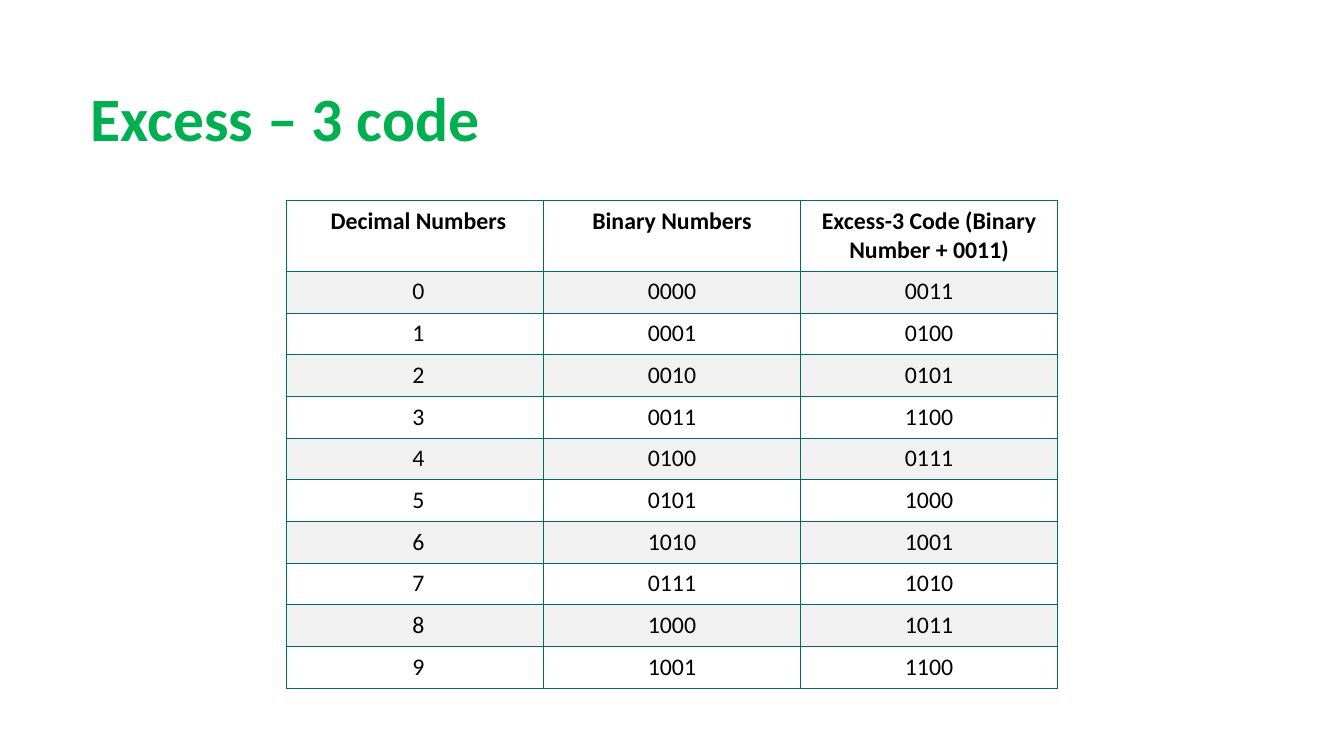
from lxml import etree
from pptx import Presentation
from pptx.dml.color import RGBColor
from pptx.enum.text import MSO_ANCHOR as Anchor, PP_ALIGN as Align
from pptx.oxml.ns import qn
from pptx.util import Inches, Pt

COLORS = {
    "title": "00B050",
    "text": "000000",
    "border": "006969",
    "plain": "FFFFFF",
    "band": "F1F1F1",
}
FONT = "Calibri"

HEADINGS = ("Decimal Numbers", "Binary Numbers", "Excess-3 Code (Binary Number + 0011)")
CODES = [
    ("0", "0000", "0011"),
    ("1", "0001", "0100"),
    ("2", "0010", "0101"),
    ("3", "0011", "1100"),
    ("4", "0100", "0111"),
    ("5", "0101", "1000"),
    ("6", "1010", "1001"),
    ("7", "0111", "1010"),
    ("8", "1000", "1011"),
    ("9", "1001", "1100"),
]

# Table measures in inches
TABLE_LEFT, TABLE_TOP = 2.84, 1.99
TABLE_WIDTH, TABLE_HEIGHT = 7.65, 4.84
HEADER_HEIGHT = 0.7


def style_font(para, size, color, bold):
    font = para.font
    font.name, font.size, font.bold = FONT, Pt(size), bold
    font.color.rgb = RGBColor.from_string(COLORS[color])


def add_title(page, text):
    box = page.shapes.add_textbox(Inches(0.8), Inches(0.48), Inches(11.73), Inches(1.45))
    frame = box.text_frame
    frame.word_wrap = True
    frame.vertical_anchor = Anchor.MIDDLE
    para = frame.paragraphs[0]
    para.text = text
    para.line_spacing = 0.9
    style_font(para, 44, "title", True)


def set_borders(cell):
    properties = cell._tc.get_or_add_tcPr()
    for position, side in enumerate(("lnL", "lnR", "lnT", "lnB")):
        line = etree.Element(qn(f"a:{side}"), w=str(Pt(0.6)))
        fill = etree.SubElement(line, qn("a:solidFill"))
        etree.SubElement(fill, qn("a:srgbClr"), val=COLORS["border"])
        properties.insert(position, line)


def fill_cell(cell, text, fill, bold, left_margin):
    cell.fill.solid()
    cell.fill.fore_color.rgb = RGBColor.from_string(COLORS[fill])
    cell.margin_left = Inches(left_margin)
    cell.margin_right = cell.margin_top = cell.margin_bottom = Inches(0.06)
    para = cell.text_frame.paragraphs[0]
    para.text = text
    para.alignment = Align.CENTER
    style_font(para, 17, "text", bold)
    set_borders(cell)


def add_code_table(page, headings, codes):
    rows = [headings, *codes]
    table = page.shapes.add_table(
        len(rows), len(headings),
        Inches(TABLE_LEFT), Inches(TABLE_TOP), Inches(TABLE_WIDTH), Inches(TABLE_HEIGHT),
    ).table
    code_height = (TABLE_HEIGHT - HEADER_HEIGHT) / len(codes)
    for row_index, values in enumerate(rows):
        is_header = row_index == 0
        table.rows[row_index].height = Inches(HEADER_HEIGHT if is_header else code_height)
        fill = "band" if row_index % 2 else "plain"
        for column_index, value in enumerate(values):
            left_margin = 0.06 if column_index else 0.13
            fill_cell(table.cell(row_index, column_index), value, fill, is_header, left_margin)


def main():
    deck = Presentation()
    deck.slide_width, deck.slide_height = Inches(13.33), Inches(7.5)
    page = deck.slides.add_slide(deck.slide_layouts[6])
    add_title(page, "Excess – 3 code")
    add_code_table(page, HEADINGS, CODES)
    deck.save("out.pptx")


if __name__ == "__main__":
    main()
